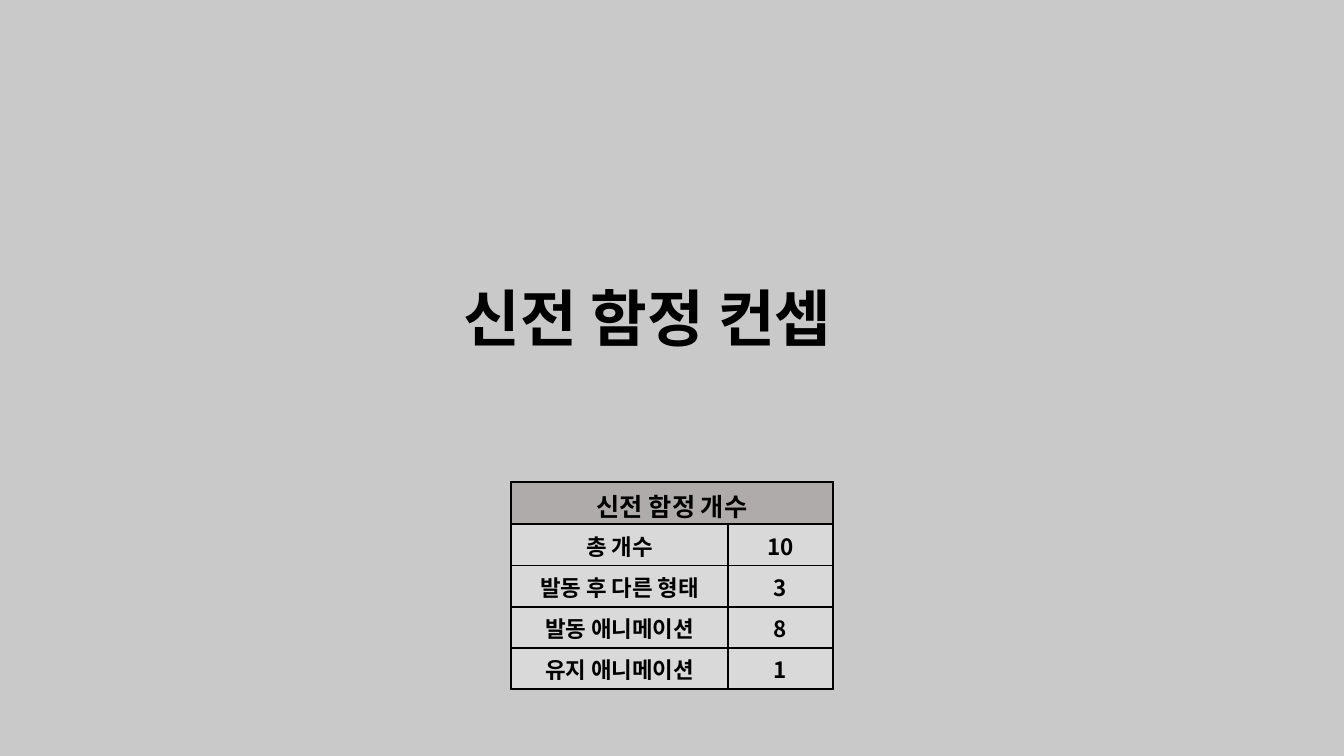
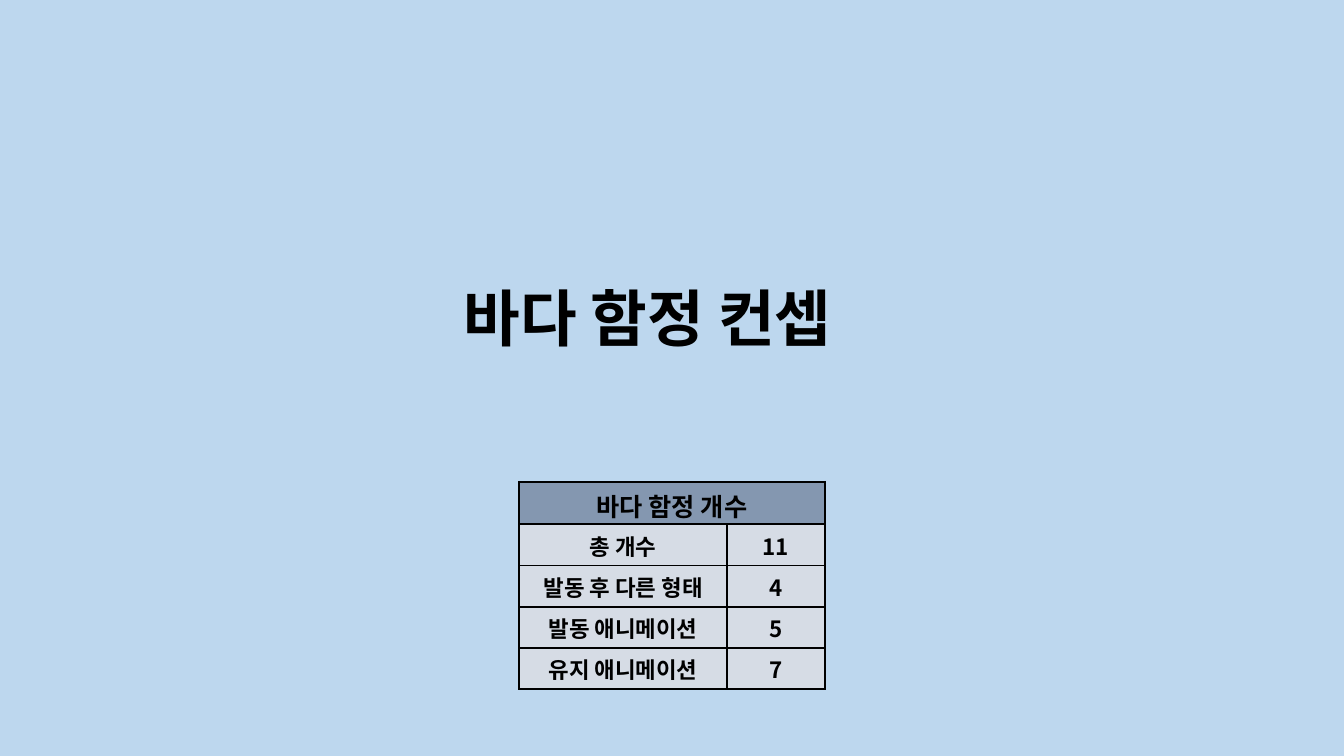
from lxml.etree import SubElement
from pptx import Presentation
from pptx.dml.color import RGBColor
from pptx.enum.text import MSO_AUTO_SIZE as AutoSize, PP_ALIGN as Align
from pptx.oxml.ns import qn
from pptx.util import Inches, Pt

WIDTH, HEIGHT = 13.33, 7.5
FONT = "Noto Sans CJK KR"
TITLE_BOX = (4.5, 2.73, 4.34, 0.84)
TABLE_TOP, HEADER_HEIGHT, ROW_HEIGHT = 4.78, 0.42, 0.41
BORDER_WIDTH = 1.5
COLORS = {
    "ink": "000000",
    "temple": "C9C9C9",
    "temple_header": "AFABAB",
    "temple_body": "D9D9D9",
    "sea": "BDD7EE",
    "sea_header": "8497B0",
    "sea_body": "D6DCE5",
}
ROW_LABELS = ("총 개수", "발동 후 다른 형태", "발동 애니메이션", "유지 애니메이션")
SECTIONS = (
    {"theme": "temple", "name": "신전", "counts": (10, 3, 8, 1), "columns": (2.15, 1.04)},
    {"theme": "sea", "name": "바다", "counts": (11, 4, 5, 7), "columns": (2.06, 0.97)},
)


def color(key):
    """Return a palette colour."""
    return RGBColor.from_string(COLORS[key])


def write(frame, text, size, alignment=Align.LEFT):
    """Write one bold line of text in a frame."""
    paragraph = frame.paragraphs[0]
    paragraph.alignment = alignment
    run = paragraph.add_run()
    run.text = text
    for name, value in {"name": FONT, "size": Pt(size), "bold": True}.items():
        setattr(run.font, name, value)
    run.font.color.rgb = color("ink")
    SubElement(run.font._element, qn("a:ea"), typeface=FONT)


def add_borders(cell):
    """Draw a solid line on every side of a cell."""
    properties = cell._tc.get_or_add_tcPr()
    for side in ("L", "R", "T", "B"):
        line = SubElement(properties, qn(f"a:ln{side}"), w=str(Pt(BORDER_WIDTH)))
        fill = SubElement(line, qn("a:solidFill"))
        SubElement(fill, qn("a:srgbClr"), val=COLORS["ink"])


def add_title(slide, box, text):
    """Place the large section title in its box."""
    frame = slide.shapes.add_textbox(*map(Inches, box)).text_frame
    frame.word_wrap = False
    frame.auto_size = AutoSize.SHAPE_TO_FIT_TEXT
    write(frame, text, 44)


def add_count_table(slide, top, columns, title, rows, theme):
    """Place a horizontally centred table with a merged header."""
    width = sum(columns)
    heights = [HEADER_HEIGHT] + [ROW_HEIGHT] * len(rows)
    box = ((WIDTH - width) / 2, top, width, sum(heights))
    table = slide.shapes.add_table(len(heights), len(columns), *map(Inches, box)).table
    for column, column_width in zip(table.columns, columns):
        column.width = Inches(column_width)
    for row, height in zip(table.rows, heights):
        row.height = Inches(height)
    table.cell(0, 0).merge(table.cell(0, len(columns) - 1))
    for index, texts in enumerate([(title, ""), *rows]):
        part, size = ("body", 16) if index else ("header", 18)
        for cell, text in zip(table.rows[index].cells, texts):
            add_borders(cell)
            cell.fill.solid()
            cell.fill.fore_color.rgb = color(f"{theme}_{part}")
            if text:
                write(cell.text_frame, text, size, Align.CENTER)


def add_section(presentation, theme, name, counts, columns):
    """Add a section slide with a title and a count table."""
    slide = presentation.slides.add_slide(presentation.slide_layouts[6])
    background = slide.background.fill
    background.solid()
    background.fore_color.rgb = color(theme)
    add_title(slide, TITLE_BOX, f"{name} 함정 컨셉")
    rows = list(zip(ROW_LABELS, map(str, counts)))
    add_count_table(slide, TABLE_TOP, columns, f"{name} 함정 개수", rows, theme)


def main():
    """Build and save the presentation."""
    presentation = Presentation()
    presentation.slide_width = Inches(WIDTH)
    presentation.slide_height = Inches(HEIGHT)
    for section in SECTIONS:
        add_section(presentation, **section)
    presentation.save("out.pptx")


if __name__ == "__main__":
    main()
